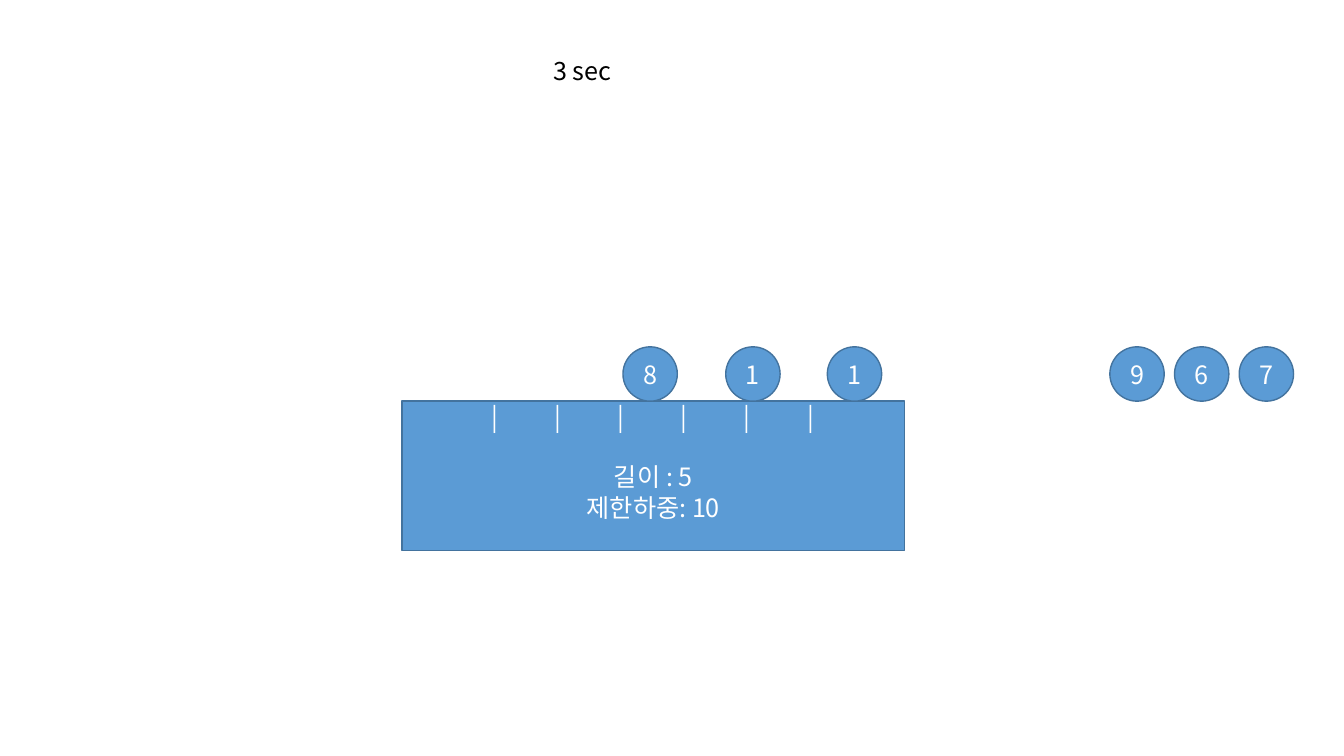
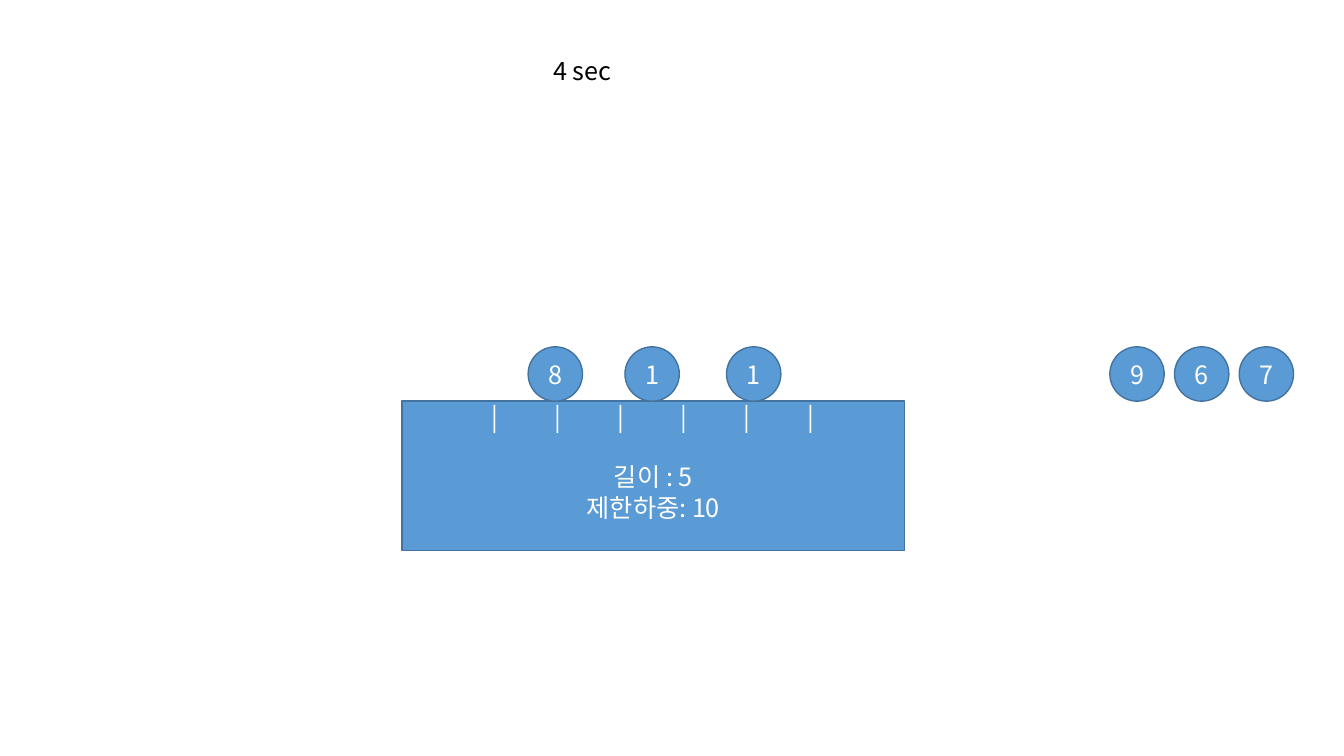
import pptx
import pptx.util
import pptx.dml.color
import pptx.enum.shapes
import pptx.enum.text
import lxml.etree
from dataclasses import dataclass

Cm = pptx.util.Cm
Pt = pptx.util.Pt
ALIGN = pptx.enum.text.PP_ALIGN
ANCHOR = pptx.enum.text.MSO_ANCHOR
SHAPE = pptx.enum.shapes.MSO_SHAPE

MOMENTS = [
    {"time": "3 sec", "crossing": [("8", 15.7), ("1", 18.29), ("1", 20.85)]},
    {"time": "4 sec", "crossing": [("8", 13.31), ("1", 15.75), ("1", 18.31)]},
]
WAITING = ["9", "6", "7"]
BRIDGE_LIMITS = ["길이 : 5", "제한하중: 10"]
TICK_COUNT = 6


@dataclass(frozen=True)
class Theme:
    fill: str = "5B9BD5"
    outline: str = "43739E"
    light: str = "FFFFFF"
    dark: str = "000000"
    font: str = "Noto Sans CJK KR"
    size: float = 18
    leading: float = 21.6
    outline_width: float = 1


THEME = Theme()
SLIDE_SIZE = (33.87, 19.05)
TIME_BOX = (13.69, 1.27, 2.01, 1.02)
BRIDGE_BOX = (10.13, 10.11, 12.67, 3.76)
TRUCK_SIZE = 1.37
TRUCK_TOP = BRIDGE_BOX[1] - TRUCK_SIZE
WAITING_LEFT, WAITING_STEP = 27.97, 1.63
TICK_START, TICK_STEP = 2.26, 1.59


def rgb(value):
    return pptx.dml.color.RGBColor.from_string(value)


def write(frame, lines, color=THEME.light, align=ALIGN.CENTER,
          anchor=ANCHOR.MIDDLE, margins=(0, 0), wrap=True):
    frame.word_wrap = wrap
    frame.auto_size = pptx.enum.text.MSO_AUTO_SIZE.NONE
    frame.vertical_anchor = anchor
    frame.margin_left = frame.margin_right = Cm(margins[0])
    frame.margin_top = frame.margin_bottom = Cm(margins[1])
    for index, line in enumerate(lines):
        paragraph = frame.paragraphs[0] if index == 0 else frame.add_paragraph()
        paragraph.alignment = align
        paragraph.line_spacing = Pt(THEME.leading)
        paragraph.space_before = Pt(0)
        run = paragraph.add_run()
        run.text = line
        run.font.size = Pt(THEME.size)
        run.font.name = THEME.font
        run.font.color.rgb = rgb(color)
        east_asian = lxml.etree.SubElement(
            run.font._element, pptx.oxml.ns.qn("a:ea"))
        east_asian.set("typeface", THEME.font)
    return frame.paragraphs


def add_block(slide, preset, box):
    block = slide.shapes.add_shape(preset, *map(Cm, box))
    block.shadow.inherit = False
    block.fill.solid()
    block.fill.fore_color.rgb = rgb(THEME.fill)
    block.line.color.rgb = rgb(THEME.outline)
    block.line.width = Pt(THEME.outline_width)
    return block


def add_time(slide, label):
    time = slide.shapes.title
    time.left, time.top, time.width, time.height = map(Cm, TIME_BOX)
    write(time.text_frame, [label], color=THEME.dark, align=ALIGN.LEFT,
          anchor=ANCHOR.TOP, margins=(0.25, 0.13), wrap=False)


def add_bridge(slide):
    bridge = add_block(slide, SHAPE.RECTANGLE, BRIDGE_BOX)
    scale = "\t|" * TICK_COUNT
    ticks = write(bridge.text_frame, [scale, *BRIDGE_LIMITS],
                  anchor=ANCHOR.TOP)[0]
    ticks.alignment = ALIGN.LEFT
    ticks.space_after = Pt(THEME.leading)
    stops = lxml.etree.SubElement(
        ticks._p.get_or_add_pPr(), pptx.oxml.ns.qn("a:tabLst"))
    for index in range(TICK_COUNT):
        stop = lxml.etree.SubElement(stops, pptx.oxml.ns.qn("a:tab"))
        stop.set("pos", str(Cm(TICK_START + index * TICK_STEP)))
        stop.set("algn", "l")


def add_truck(slide, weight, left):
    truck = add_block(slide, SHAPE.OVAL,
                      (left, TRUCK_TOP, TRUCK_SIZE, TRUCK_SIZE))
    write(truck.text_frame, [weight])


deck = pptx.Presentation()
deck.slide_width, deck.slide_height = map(Cm, SLIDE_SIZE)
title_only = deck.slide_layouts[5]
queue = [(weight, WAITING_LEFT + index * WAITING_STEP)
         for index, weight in enumerate(WAITING)]

for moment in MOMENTS:
    slide = deck.slides.add_slide(title_only)
    add_time(slide, moment["time"])
    add_bridge(slide)
    for weight, left in moment["crossing"] + queue:
        add_truck(slide, weight, left)

deck.save("out.pptx")
